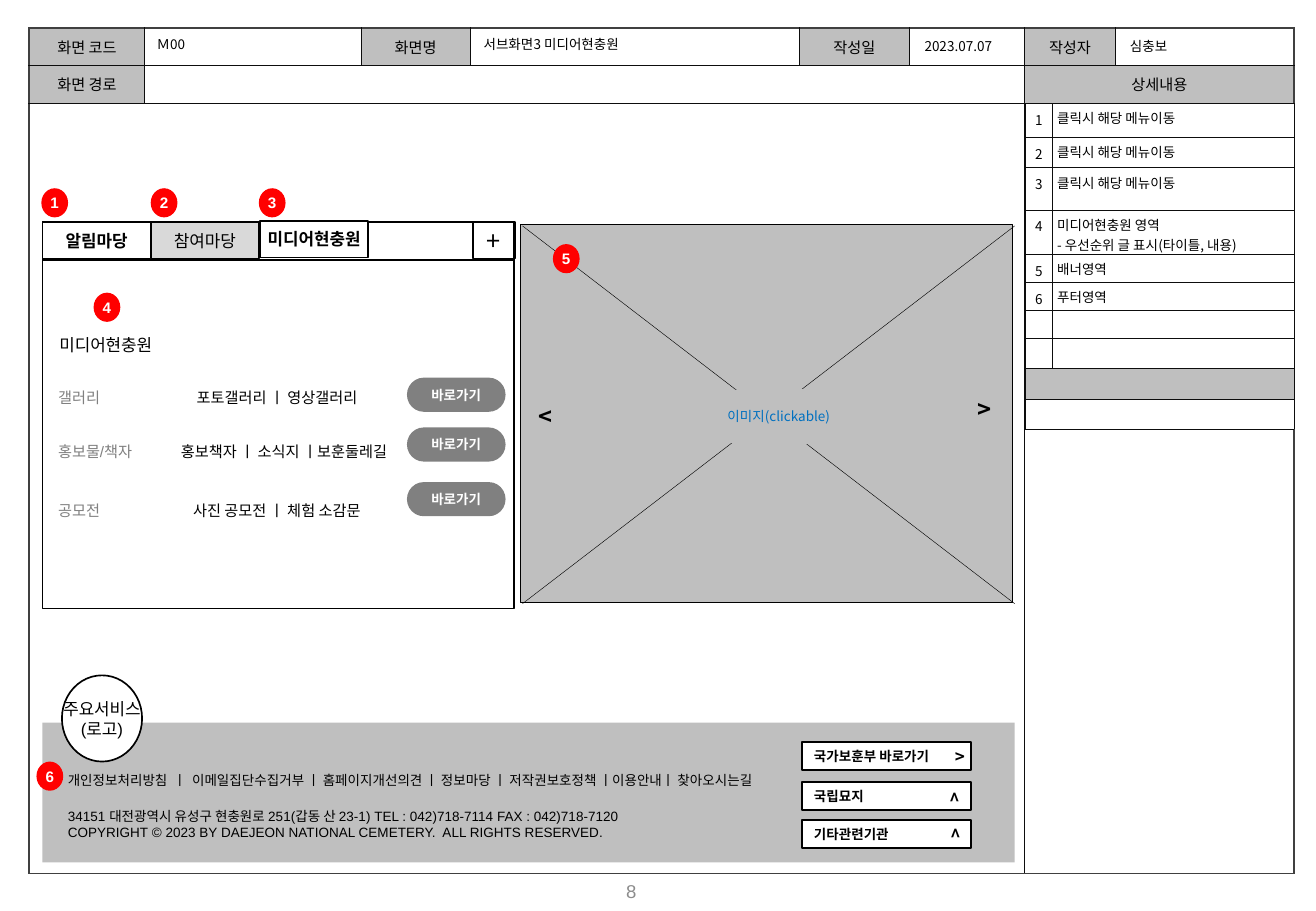
"""Build the wireframe slide of the media page with its detail tables."""
from lxml import etree
from pptx import Presentation
from pptx.dml.color import RGBColor
from pptx.enum.shapes import MSO_CONNECTOR, MSO_SHAPE
from pptx.enum.text import MSO_ANCHOR, MSO_AUTO_SIZE, PP_ALIGN
from pptx.oxml.ns import qn
from pptx.util import Pt

PX = 9144
SANS, ARIAL = "Noto Sans CJK KR", "Arial"
LEFT, MID = PP_ALIGN.LEFT, PP_ALIGN.CENTER
TOP, CENTER = MSO_ANCHOR.TOP, MSO_ANCHOR.MIDDLE
RECT, OVAL = MSO_SHAPE.RECTANGLE, MSO_SHAPE.OVAL
DOT, PILL = MSO_SHAPE.FLOWCHART_CONNECTOR, MSO_SHAPE.FLOWCHART_TERMINATOR
STRAIGHT = MSO_CONNECTOR.STRAIGHT
BLACK, WHITE, GREY, DARK = "000000", "FFFFFF", "BFBFBF", "808080"
color = RGBColor.from_string


def write(frame, text, size, ink=BLACK, bold=False, face=SANS, align=LEFT, space=None):
    for i, line in enumerate(text.split("\n")):
        para = frame.add_paragraph() if i else frame.paragraphs[0]
        para.text = line
        para.alignment, para.line_spacing = align, space
        if not line:
            etree.SubElement(para._p, qn("a:endParaRPr"), sz=str(size * 100))
        for run in para.runs:
            style = {"name": face, "size": Pt(size), "bold": bold}
            for key, value in style.items():
                setattr(run.font, key, value)
            run.font.color.rgb = color(ink)
            etree.SubElement(run.font._element, qn("a:ea"), typeface=SANS)


def add(kind, at, text="", size=8, fill=None, line=None, width=1, anchor=None, turn=0, inset=10, **style):
    place = [v * PX for v in at]
    if kind is None:
        shape = shapes.add_textbox(*place)
    else:
        shape = shapes.add_shape(kind, *place)
        shape.shadow.inherit = False
        if fill:
            shape.fill.solid()
            shape.fill.fore_color.rgb = color(fill)
        else:
            shape.fill.background()
        if line:
            shape.line.color.rgb = color(line)
            shape.line.width = Pt(width)
        else:
            shape.line.fill.background()
    shape.rotation = turn
    frame = shape.text_frame
    frame.word_wrap = kind is None or style.get("align", LEFT) == LEFT
    frame.vertical_anchor = anchor or (CENTER if kind else TOP)
    frame.margin_left = frame.margin_right = inset * PX
    if text:
        write(frame, text, size, **style)


deck = Presentation()
deck.slide_width, deck.slide_height = 1083 * PX, 750 * PX
slide = deck.slides.add_slide(deck.slide_layouts[5])
shapes = slide.shapes

title = shapes.title
for key, value in zip(("left", "top", "width", "height"), (388, 25, 272, 24)):
    setattr(title, key, value * PX)
title.text_frame.auto_size = MSO_AUTO_SIZE.NONE
title.text_frame.vertical_anchor = TOP
write(title.text_frame, "서브화면3 미디어현충원", 8)

click = "클릭시 해당 메뉴이동"
notes = [click] * 3 + ["미디어현충원 영역\v- 우선순위 글 표시(타이틀, 내용)", "배너영역", "푸터영역"]
detail = {(r, 1): note for r, note in enumerate(notes)}
detail.update({(r, 0): str(r + 1) for r in range(len(notes))})
head = {(0, 0): "화면 코드", (0, 2): "화면명", (0, 4): "작성일", (0, 6): "작성자",
        (1, 0): "화면 경로", (1, 6): "상세내용"}
tables = [
    {"at": (24, 23), "cols": (95, 178, 90, 271, 90, 95, 75, 147), "rows": (31, 31, 634),
     "text": head, "grey": set(head), "base": None, "size": 9, "edge": ("404040", 1),
     "spans": [(1, 1, 5), (1, 6, 7), (2, 0, 5), (2, 6, 7)], "anchor": CENTER,
     "pad": [(8, 4, 8, 4)] * 8},
    {"at": (844, 85), "cols": (22, 199), "rows": (28, 25, 35, 35, 23, 23, 23, 25, 25, 25),
     "text": detail, "grey": {(8, 0)}, "base": WHITE, "size": 8, "edge": ("0D0D0D", 0.25),
     "spans": [(8, 0, 1), (9, 0, 1)], "anchor": TOP, "pad": [(0, 5, 0, 0), (4, 4, 4, 0)]},
]
for spec in tables:
    cols, rows = spec["cols"], spec["rows"]
    size = [len(rows), len(cols)]
    place = [v * PX for v in (*spec["at"], sum(cols), sum(rows))]
    grid = shapes.add_table(*size, *place).table
    grid.first_row = grid.horz_banding = False
    for c, wide in enumerate(cols):
        grid.columns[c].width = wide * PX
    for r, high in enumerate(rows):
        grid.rows[r].height = high * PX
    for r, c, end in spec["spans"]:
        grid.cell(r, c).merge(grid.cell(r, end))
    for r in range(len(rows)):
        for c in range(len(cols)):
            cell = grid.cell(r, c)
            cell.vertical_anchor = spec["anchor"]
            for side, pad in zip(("left", "top", "right", "bottom"), spec["pad"][c]):
                setattr(cell, "margin_" + side, pad * PX)
            align = MID if spec["anchor"] == CENTER or c == 0 else LEFT
            write(cell.text_frame, spec["text"].get((r, c), ""), spec["size"], align=align)
            fill = GREY if (r, c) in spec["grey"] else spec["base"]
            if fill:
                cell.fill.solid()
                cell.fill.fore_color.rgb = color(fill)
            else:
                cell.fill.background()
            last = c + (cell.span_width if cell.is_merge_origin else 1) == len(cols)
            outer = {"L": c == 0, "R": last, "T": r == 0, "B": r == len(rows) - 1}
            props = cell._tc.get_or_add_tcPr()
            for i, (side, rim) in enumerate(outer.items()):
                ink, width = spec["edge"] if rim else ("0D0D0D", 0.25)
                edge = etree.Element(qn("a:ln" + side), w=str(Pt(width)))
                solid = etree.SubElement(edge, qn("a:solidFill"))
                etree.SubElement(solid, qn("a:srgbClr"), val=ink)
                props.insert(i, edge)

add(None, (393, 718, 253, 32), "8", 11, ink="8C8C8C", face=ARIAL, align=MID, anchor=CENTER)
add(None, (119, 25, 173, 24), "Ｍ00")
for x, wide, text in [(751, 91, "2023.07.07"), (920, 138, "심충보")]:
    add(None, (x, 27, wide, 24), text, anchor=CENTER, space=0.9)

for high in (318, 31):
    add(RECT, (35, 183, 388, high), line=BLACK)
tabs = [(35, 183, 89, "알림마당", 10, WHITE, True), (124, 183, 89, "참여마당", 10, "D9D9D9", False),
        (214, 182, 89, "미디어현충원", 10, WHITE, True), (389, 183, 35, "+", 15, None, False)]
for x, y, wide, text, size, fill, bold in tabs:
    add(RECT, (x, y, wide, 30), text, size, fill, BLACK, bold=bold, align=MID)

add(None, (39, 271, 234, 27), "미디어현충원", 10, face=ARIAL)
links = [(315, 312, "갤러리", 152, "포토갤러리 ㅣ 영상갤러리"),
         (359, 353, "홍보물/책자", 139, "홍보책자 ㅣ 소식지 ㅣ보훈둘레길"),
         (408, 398, "공모전", 149, "사진 공모전 ㅣ 체험 소감문")]
for y, top, label, x, text in links:
    add(None, (38, y, 100, 25), label, 9, ink=DARK, face=ARIAL)
    add(None, (x, y, 195, 25), text, 9, face=ARIAL)
    add(PILL, (336, top, 79, 26), "바로가기", 8, DARK, DARK, 1.5, ink=WHITE, bold=True, align=MID)

add(RECT, (428, 185, 405, 311), fill=GREY, line=BLACK, width=0.25)
for start, end in [(186, 497), (497, 186)]:
    cross = shapes.add_connector(STRAIGHT, *[v * PX for v in (430, start, 835, end)])
    cross.line.color.rgb = color(BLACK)
    cross.line.width = Pt(0.25)
    etree.SubElement(cross._element.spPr, qn("a:effectLst"))
add(OVAL, (518, 320, 246, 46), "이미지(clickable)", fill=GREY, ink="0070C0", align=MID, inset=0)

add(RECT, (35, 595, 800, 115), fill=GREY)
menu = "개인정보처리방침  ㅣ  이메일집단수집거부 ㅣ 홈페이지개선의견 ㅣ 정보마당 ㅣ 저작권보호정책 ㅣ이용안내ㅣ 찾아오시는길"
add(None, (46, 631, 606, 24), menu, face=ARIAL)
owner = ("34151 대전광역시 유성구 현충원로 251(갑동 산 23-1) TEL : 042)718-7114 FAX : 042)718-7120\n"
         "COPYRIGHT © 2023 BY DAEJEON NATIONAL CEMETERY.  ALL RIGHTS RESERVED.")
add(None, (46, 660, 566, 37), owner, face=ARIAL)
add(OVAL, (51, 556, 66, 71), "주요서비스\v(로고)", 10, WHITE, BLACK, face=ARIAL, align=MID)
for y, text in [(611, "국가보훈부 바로가기"), (644, "국립묘지"), (675, "기타관련기관")]:
    add(RECT, (660, y, 139, 23), text, 8, WHITE, BLACK, bold=True)

arrows = [(424, 326, 49, 34, 14, 0), (786, 320, 49, 34, 14, 180), (773, 610, 34, 27, 10, 180),
          (769, 643, 34, 27, 10, 90), (770, 673, 34, 27, 10, 90)]
for *at, size, turn in arrows:
    add(None, at, "<", size, turn=turn, bold=True, align=MID)

spots = [(34, 155), (124, 155), (213, 155), (77, 241), (455, 201), (30, 627)]
for i, (x, y) in enumerate(spots, 1):
    add(DOT, (x, y, 22, 24), str(i), 9, "FF0000", ink=WHITE, bold=True, face=ARIAL, align=MID)

deck.save("out.pptx")
